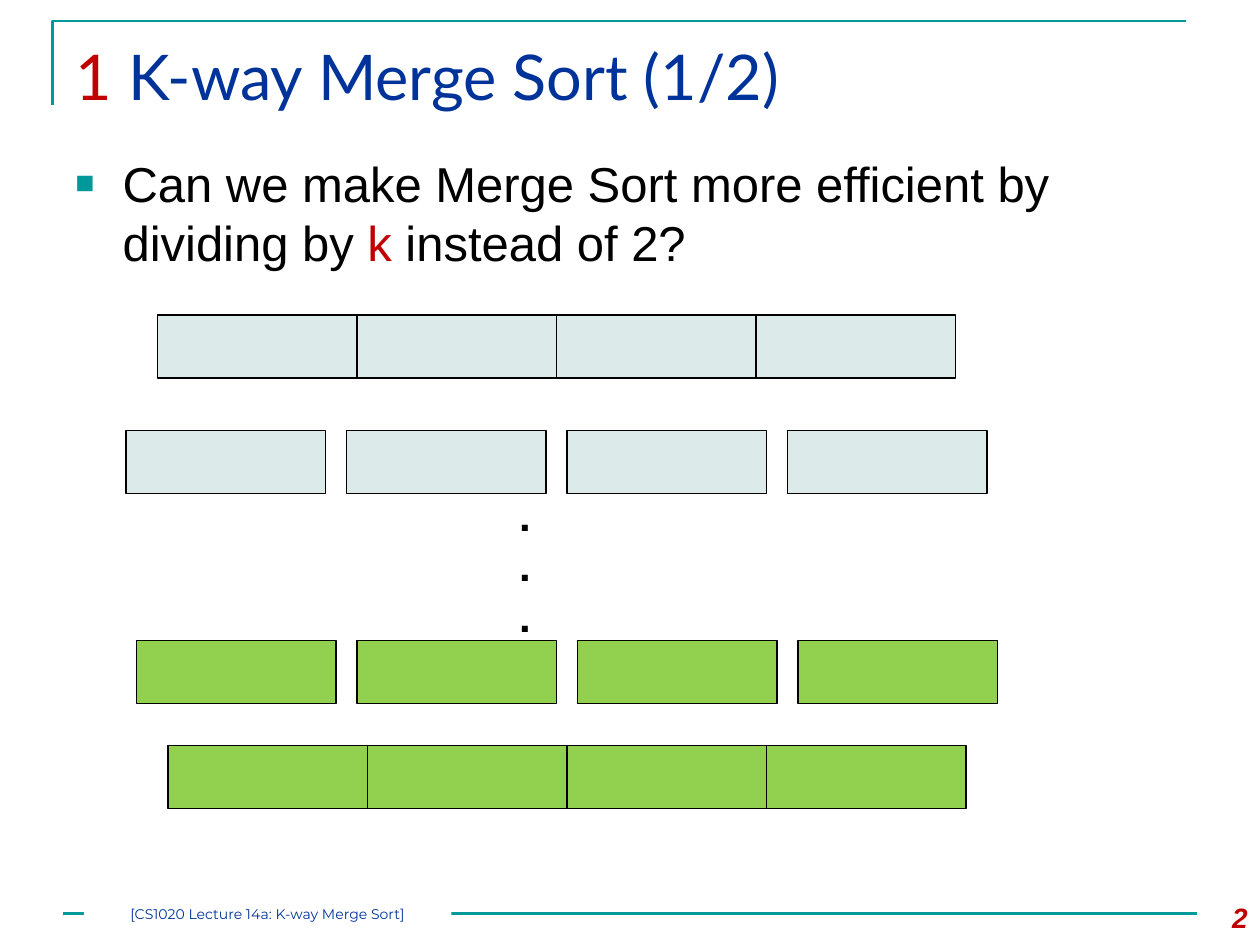
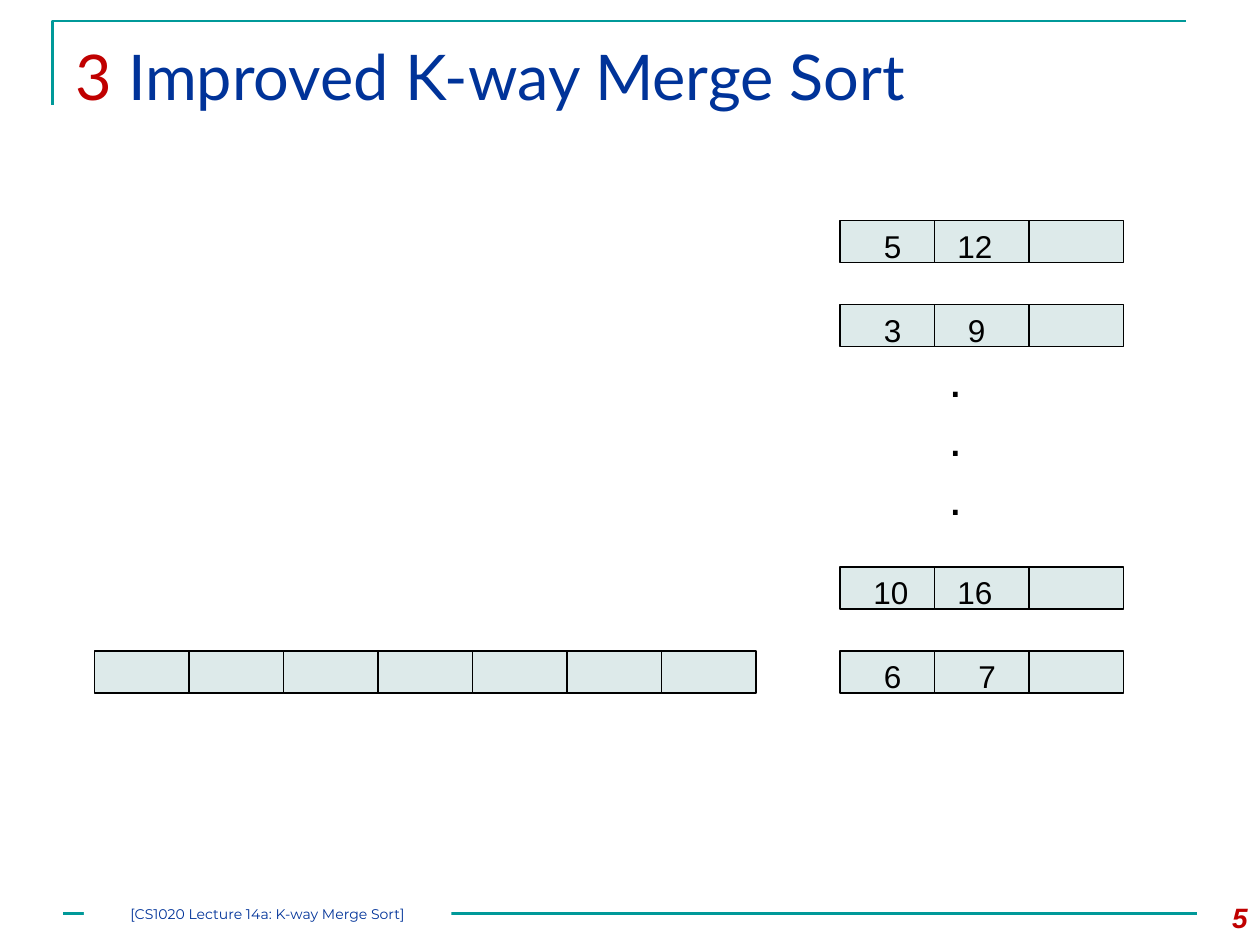
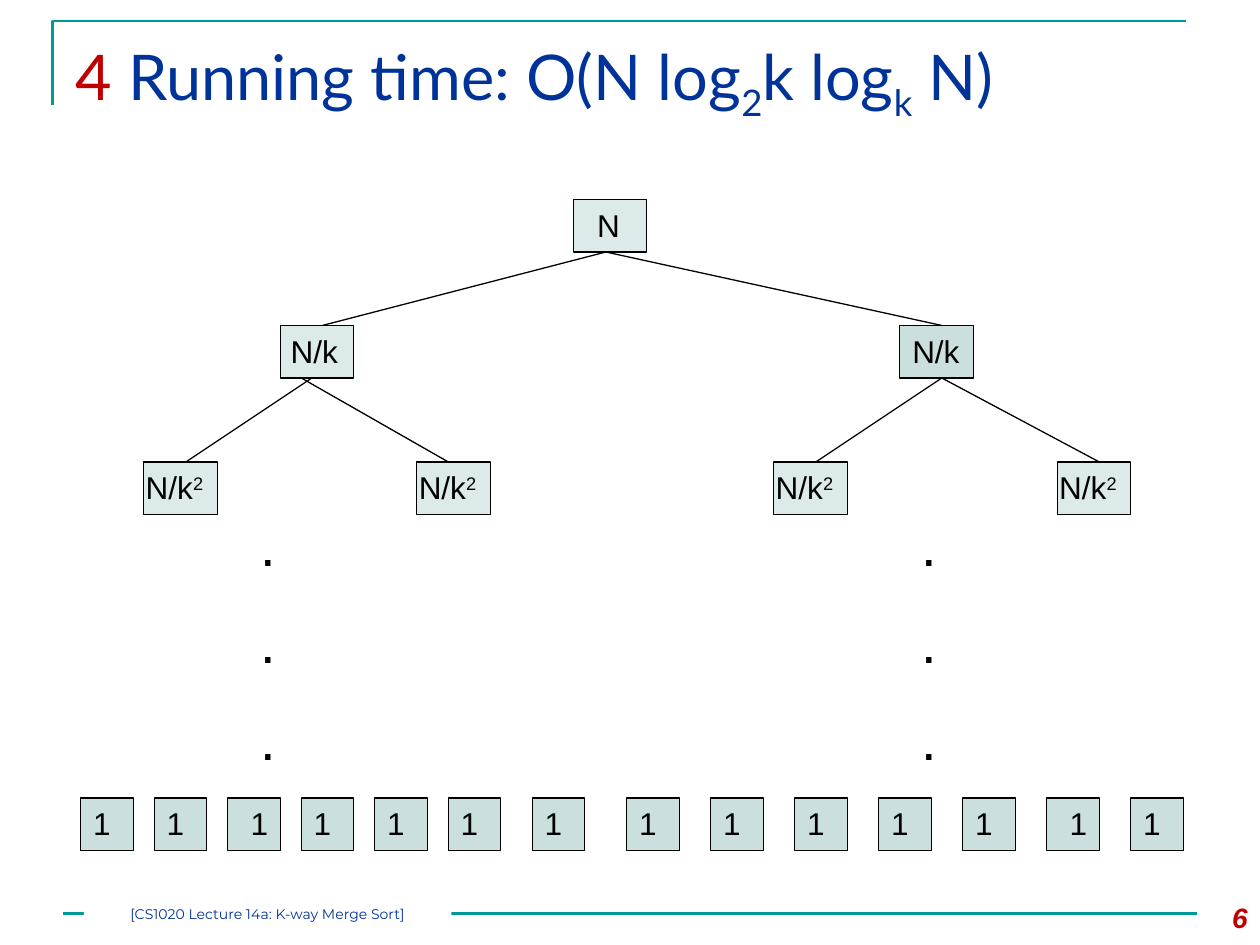
from dataclasses import dataclass

from lxml.etree import SubElement
from pptx import Presentation
from pptx.dml.color import RGBColor
from pptx.enum.shapes import MSO_CONNECTOR, MSO_SHAPE
from pptx.enum.text import MSO_ANCHOR, PP_ALIGN
from pptx.oxml.ns import qn
from pptx.util import Emu, Pt

EMU_PER_PX = 7620  # 120 px to the inch
WIDTH, HEIGHT = 1200, 900

BLACK = RGBColor(0x00, 0x00, 0x00)
WHITE = RGBColor(0xFF, 0xFF, 0xFF)
RED = RGBColor(0xC0, 0x00, 0x00)
NAVY = RGBColor(0x00, 0x33, 0x99)
TEAL = RGBColor(0x00, 0x99, 0x99)
PALE = RGBColor(0xDD, 0xEA, 0xEA)
MIST = RGBColor(0xCC, 0xDF, 0xDF)
GREEN = RGBColor(0x92, 0xD0, 0x50)

FOOTER = "[CS1020 Lecture 14a: K-way Merge Sort]"


def px(length):
    return Emu(length * EMU_PER_PX)


@dataclass
class Span:
    """A piece of text; baseline is a percentage, below zero for a subscript."""
    text: str
    color: RGBColor = BLACK
    baseline: int = 0


class Lecture:
    """Holds the deck, its style and the slide being drawn."""

    def __init__(self):
        self.deck = Presentation()
        self.deck.slide_width = px(WIDTH)
        self.deck.slide_height = px(HEIGHT)
        self.shapes = None

    def add_page(self, section, title_spans, number):
        page = self.deck.slides.add_slide(self.deck.slide_layouts[6])
        self.shapes = page.shapes
        self.corner()
        self.line(60, 870, 1140, 870, TEAL, 1.5)
        self.text(60, 30, 1080, 110, [Span(f"{section} ", RED), *title_spans], 36, font="Lato")
        self.footer()
        box = self.text(1120, 852, 80, 48, [Span(number, RED)], 16, PP_ALIGN.RIGHT, bold=True)
        box.text_frame.paragraphs[0].runs[0].font.italic = True

    def corner(self):
        outline = self.shapes.build_freeform(50, 100, scale=EMU_PER_PX)
        outline.add_line_segments([(50, 20), (1130, 20)], close=False)
        corner = outline.convert_to_shape()
        corner.shadow.inherit = False
        corner.fill.background()
        corner.line.color.rgb = TEAL
        corner.line.width = Pt(1.5)

    def footer(self):
        band = self.rectangle(80, 860, 350, 20, WHITE)
        band.line.fill.background()
        frame = band.text_frame
        frame.margin_left = frame.margin_right = frame.margin_top = frame.margin_bottom = 0
        frame.vertical_anchor = MSO_ANCHOR.MIDDLE
        self.fill_para(frame.paragraphs[0], [Span(FOOTER, NAVY)], 8, PP_ALIGN.CENTER, "Montserrat")

    def fill_para(self, para, spans, size, align=PP_ALIGN.LEFT, font="Arial", bold=False):
        para.alignment = align
        for span in spans:
            run = para.add_run()
            run.text = span.text
            run.font.name = font
            run.font.size = Pt(size)
            run.font.bold = bold
            run.font.color.rgb = span.color
            if span.baseline:
                run.font._element.set("baseline", str(span.baseline * 1000))

    def text(self, left, top, width, height, spans, size, align=PP_ALIGN.LEFT,
             font="Arial", bold=False):
        box = self.shapes.add_textbox(px(left), px(top), px(width), px(height))
        box.text_frame.word_wrap = True
        self.fill_para(box.text_frame.paragraphs[0], spans, size, align, font, bold)
        return box

    def bullet(self, left, top, width, height, spans):
        box = self.text(left, top, width, height, spans, 28)
        properties = box.text_frame.paragraphs[0]._p.get_or_add_pPr()
        indent = px(45)
        properties.set("marL", str(indent))
        properties.set("indent", str(-indent))
        color = SubElement(properties, qn("a:buClr"))
        SubElement(color, qn("a:srgbClr"), val=str(TEAL))
        SubElement(properties, qn("a:buSzPct"), val="65000")
        SubElement(properties, qn("a:buFont"), typeface="Arial")
        SubElement(properties, qn("a:buChar"), char="■")

    def label(self, left, top, width, *spans):
        self.text(left, top, width, 48, spans, 18)

    def dots(self, left, top, width, height, size, align=PP_ALIGN.CENTER, bold=False, gap=0):
        """Three dots, one below the other, gap points apart."""
        box = self.text(left, top, width, height, [Span(".")], size, align, bold=bold)
        for _ in range(2):
            para = box.text_frame.add_paragraph()
            para.space_before = Pt(gap)
            self.fill_para(para, [Span(".")], size, align, bold=bold)

    def rectangle(self, left, top, width, height, fill):
        box = self.shapes.add_shape(MSO_SHAPE.RECTANGLE, px(left), px(top), px(width), px(height))
        box.shadow.inherit = False
        box.fill.solid()
        box.fill.fore_color.rgb = fill
        box.line.color.rgb = BLACK
        box.line.width = Pt(0.75)
        return box

    def row(self, left, top, width, height, count, fill, gap=0):
        for index in range(count):
            self.rectangle(left + index * (width + gap), top, width, height, fill)

    def line(self, x1, y1, x2, y2, color=BLACK, weight=0.75):
        line = self.shapes.add_connector(MSO_CONNECTOR.STRAIGHT, px(x1), px(y1), px(x2), px(y2))
        line.line.color.rgb = color
        line.line.width = Pt(weight)
        SubElement(line._element.spPr, qn("a:effectLst"))


def draw_division(lecture):
    lecture.add_page(1, [Span("K-way Merge Sort (1/2)", NAVY)], "2")
    lecture.bullet(60, 140, 1080, 140, [
        Span("Can we make Merge Sort more efficient by dividing by "),
        Span("k", RED),
        Span(" instead of 2?"),
    ])
    for left, top, gap, fill in [
        (150, 300, 0, PALE),
        (120, 410, 20, PALE),
        (130, 610, 20, GREEN),
        (160, 710, 0, GREEN),
    ]:
        lecture.row(left, top, 190, 60, 4, fill, gap)
    lecture.dots(440, 460, 120, 157, 24, bold=True)


def draw_merge(lecture):
    lecture.add_page(3, [Span("Improved K-way Merge Sort", NAVY)], "5")
    lecture.row(90, 620, 90, 40, 7, PALE)
    for top, labels in [
        (210, [(830, "5"), (900, "12")]),
        (290, [(830, "3"), (910, "9")]),
        (540, [(820, "10"), (900, "16")]),
        (620, [(830, "6"), (920, "7")]),
    ]:
        lecture.row(800, top, 90, 40, 3, PALE)
        for left, value in labels:
            lecture.label(left, top, 90, Span(value))
    lecture.dots(880, 326, 60, 181, 28)


def draw_tree(lecture):
    lecture.add_page(4, [
        Span("Running time: O(N log", NAVY), Span("2", NAVY, -25),
        Span("k log", NAVY), Span("k", NAVY, -25), Span(" N)", NAVY),
    ], "6")

    for left, top, fill, label_left, label_width, spans in [
        (546, 190, PALE, 557, 50, [Span("N")]),
        (267, 310, PALE, 265, 100, [Span("N/k")]),
        (857, 310, MIST, 857, 80, [Span("N/k")]),
        *[(left, 440, PALE, left - 10, 140, [Span("N/k"), Span("2", baseline=30)])
          for left in (137, 397, 737, 1007)],
    ]:
        lecture.rectangle(left, top, 70, 50, fill)
        lecture.label(label_left, top, label_width, *spans)

    for x1, y1, x2, y2 in [
        (577, 240, 307, 310), (577, 240, 897, 310),
        (297, 360, 177, 440), (287, 360, 427, 440),
        (897, 360, 777, 440), (897, 360, 1047, 440),
    ]:
        lecture.line(x1, y1, x2, y2)

    leaf_lefts = [*range(77, 430, 70), 507, *range(597, 1080, 80)]
    shifted_leaves = (2, 12)
    for index, left in enumerate(leaf_lefts):
        lecture.rectangle(left, 760, 50, 50, MIST)
        lecture.label(left + (10 if index in shifted_leaves else 0), 760, 70, Span("1"))

    for left in (236, 866):
        lecture.dots(left, 480, 120, 268, 32, PP_ALIGN.LEFT, gap=17)


def main():
    lecture = Lecture()
    draw_division(lecture)
    draw_merge(lecture)
    draw_tree(lecture)
    lecture.deck.save("out.pptx")


if __name__ == "__main__":
    main()
